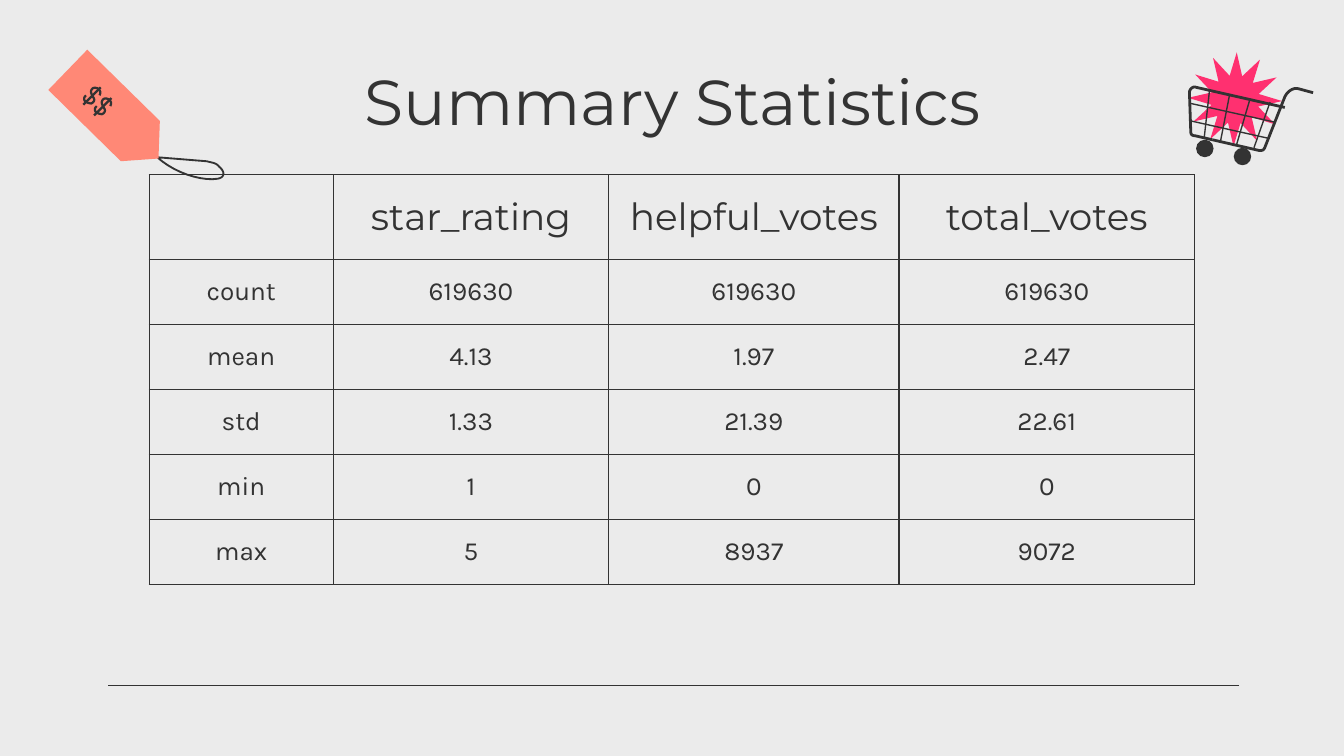
from math import cos, radians, sin

from lxml.etree import SubElement
from pptx import Presentation
from pptx.dml.color import RGBColor
from pptx.enum.shapes import MSO_CONNECTOR, MSO_SHAPE
from pptx.enum.text import MSO_ANCHOR as Anchor, MSO_AUTO_SIZE as AutoSize, PP_ALIGN as Align
from pptx.oxml import parse_xml
from pptx.oxml.ns import nsdecls, qn
from pptx.util import Inches, Pt

COLORS = {"background": "EBEBEB", "ink": "333333", "tag": "FF8876", "burst": "FF3070"}
TITLE_FORMAT = {"name": "Montserrat", "size": Pt(34), "bold": False}
HEADER_FORMAT = {"name": "Montserrat", "size": Pt(20), "bold": False}
BODY_FORMAT = {"name": "Karla", "size": Pt(14), "bold": False}

STATISTICS = [
    ["", "star_rating", "helpful_votes", "total_votes"],
    ["count", "619630", "619630", "619630"],
    ["mean", "4.13", "1.97", "2.47"],
    ["std", "1.33", "21.39", "22.61"],
    ["min", "1", "0", "0"],
    ["max", "5", "8937", "9072"],
]
COLUMN_WIDTHS = [1.37, 2.05, 2.16, 2.2]
TABLE_HEIGHT, HEADER_HEIGHT = 3.05, 0.63
ROW_HEIGHT = (TABLE_HEIGHT - HEADER_HEIGHT) / (len(STATISTICS) - 1)

# Outlines in inches: a pair is a straight step, six numbers are a Bezier curve
TAG = [(0.65, 0.37), (0.36, 0.67), (0.9, 1.2), (1.18, 1.18), (1.19, 0.9)]
STRING = [(1.17, 1.17), (1.54, 1.2), (1.57, 1.21, 1.61, 1.21, 1.63, 1.24),
          (1.67, 1.27, 1.68, 1.32, 1.62, 1.33), (1.49, 1.35, 1.29, 1.28, 1.17, 1.17)]
DOLLAR_CURVE = [(0.74, 0.71), (0.75, 0.69, 0.75, 0.68, 0.73, 0.66),
                (0.71, 0.65, 0.69, 0.65, 0.68, 0.67), (0.67, 0.69, 0.69, 0.71, 0.69, 0.72),
                (0.71, 0.74, 0.7, 0.76, 0.68, 0.77), (0.66, 0.77, 0.64, 0.76, 0.63, 0.75),
                (0.62, 0.73, 0.63, 0.72, 0.64, 0.71)]
DOLLAR_BAR = [(0.75, 0.65), (0.62, 0.78)]
HANDLE = [(9.77, 0.69), (9.66, 0.66), (9.62, 0.65, 9.58, 0.68, 9.56, 0.72),
          (9.41, 1.1), (9.4, 1.12, 9.39, 1.12, 9.37, 1.12), (9.02, 1.04)]
BASKET = [(9.56, 0.8), (8.9, 0.65), (8.88, 0.64, 8.85, 0.66, 8.85, 0.69),
          (8.86, 0.98), (8.86, 1, 8.87, 1.01, 8.89, 1.01), (9.02, 1.04)]
WIRES = [[(9, 0.67), (8.96, 1.03)], [(9.15, 0.7), (9.08, 1.06)],
         [(9.3, 0.74), (9.2, 1.08)], [(9.45, 0.76), (9.33, 1.1)],
         [(8.86, 0.9), (9.44, 1.03)], [(8.86, 0.77), (9.49, 0.91)]]
WHEELS = [(8.96, 1.1), (9.24, 1.16)]


def color(name):
    return RGBColor.from_string(COLORS[name])


def set_text(text_frame, text, text_format):
    paragraph = text_frame.paragraphs[0]
    paragraph.text = text
    paragraph.alignment = Align.CENTER
    for attribute, value in text_format.items():
        setattr(paragraph.font, attribute, value)
    paragraph.font.color.rgb = color("ink")


def flatten(outline, steps=10):
    """Turn straight and curved steps into plain points."""
    points = [outline[0]]
    for step in outline[1:]:
        if len(step) == 2:
            points.append(step)
            continue
        start, bends = points[-1], (step[:2], step[2:4], step[4:])
        for index in range(1, steps + 1):
            t = index / steps
            weights = ((1 - t) ** 3, 3 * t * (1 - t) ** 2, 3 * t * t * (1 - t), t ** 3)
            points.append(tuple(
                sum(weight * point[axis] for weight, point in zip(weights, (start, *bends)))
                for axis in (0, 1)))
    return points


def add_outline(slide, outline, fill=None, width=None, closed=False, offset=0):
    points = [(Inches(x + offset), Inches(y + offset)) for x, y in flatten(outline)]
    builder = slide.shapes.build_freeform(*points[0], scale=1.0)
    builder.add_line_segments(points[1:], close=closed)
    paint(builder.convert_to_shape(), fill, width)


def paint(shape, fill=None, width=None):
    shape.shadow.inherit = False
    if fill:
        shape.fill.solid()
        shape.fill.fore_color.rgb = color(fill)
    else:
        shape.fill.background()
    if width:
        shape.line.color.rgb = color("ink")
        shape.line.width = Pt(width)
    else:
        shape.line.fill.background()


def add_rule(slide):
    rule = slide.shapes.add_connector(
        MSO_CONNECTOR.STRAIGHT, Inches(9.22), Inches(5.1), Inches(0.8), Inches(5.1))
    rule.line.color.rgb = color("ink")
    rule.line.width = Pt(0.75)
    SubElement(rule.element.spPr, qn("a:effectLst"))


def add_title(slide):
    title = slide.shapes.title
    title.left, title.top = Inches(0.79), Inches(0.36)
    title.width, title.height = Inches(8.43), Inches(0.63)
    text_frame = title.text_frame
    frame_format = {"auto_size": AutoSize.NONE, "vertical_anchor": Anchor.TOP, "word_wrap": True}
    for side in ("left", "top", "right", "bottom"):
        frame_format[f"margin_{side}"] = Inches(0.1)
    for attribute, value in frame_format.items():
        setattr(text_frame, attribute, value)
    set_text(text_frame, "Summary Statistics", TITLE_FORMAT)


def set_borders(cell):
    properties = cell._tc.get_or_add_tcPr()
    for index, side in enumerate(("lnL", "lnR", "lnT", "lnB")):
        properties.insert(index, parse_xml(
            f'<a:{side} {nsdecls("a")} w="{Pt(0.75)}"><a:solidFill>'
            f'<a:srgbClr val="{COLORS["ink"]}"/></a:solidFill></a:{side}>'))


def add_statistics(slide):
    heights = [HEADER_HEIGHT] + [ROW_HEIGHT] * (len(STATISTICS) - 1)
    table = slide.shapes.add_table(
        len(STATISTICS), len(COLUMN_WIDTHS), Inches(1.11), Inches(1.3),
        Inches(sum(COLUMN_WIDTHS)), Inches(TABLE_HEIGHT)).table
    table.first_row = table.horz_banding = False
    for column, width in zip(table.columns, COLUMN_WIDTHS):
        column.width = Inches(width)
    for row, height, values in zip(table.rows, heights, STATISTICS):
        row.height = Inches(height)
        text_format = HEADER_FORMAT if values is STATISTICS[0] else BODY_FORMAT
        for cell, value in zip(row.cells, values):
            cell.fill.background()
            cell.vertical_anchor = Anchor.MIDDLE
            for side in ("left", "top", "right", "bottom"):
                setattr(cell, f"margin_{side}", Inches(0.1))
            set_text(cell.text_frame, value, text_format)
            set_borders(cell)


def add_price_tag(slide):
    add_outline(slide, STRING, width=1, closed=True)
    add_outline(slide, TAG, fill="tag", closed=True)
    for offset in (0, 0.08):
        add_outline(slide, DOLLAR_CURVE, width=1.2, offset=offset)
        add_outline(slide, DOLLAR_BAR, width=1.2, offset=offset)


def add_cart(slide):
    # Twelve-pointed burst, alternating outer and inner corners
    corners = []
    for index in range(24):
        angle, radius = radians(15 * index - 88), 0.18 if index % 2 else 0.35
        corners.append((9.19 + radius * cos(angle), 0.74 + radius * sin(angle)))
    add_outline(slide, corners, fill="burst", closed=True)

    # Frame, wires and wheels
    for frame in (HANDLE, BASKET):
        add_outline(slide, frame, width=1.5)
    for wire in WIRES:
        add_outline(slide, wire, width=0.75)
    for x, y in WHEELS:
        wheel = slide.shapes.add_shape(
            MSO_SHAPE.OVAL, Inches(x - 0.06), Inches(y - 0.06), Inches(0.13), Inches(0.13))
        paint(wheel, fill="ink")


def main():
    # Widescreen slide, 16 by 9
    presentation = Presentation()
    presentation.slide_width = Inches(10)
    presentation.slide_height = Inches(10) * 9 // 16
    slide = presentation.slides.add_slide(presentation.slide_layouts[5])
    slide.background.fill.solid()
    slide.background.fill.fore_color.rgb = color("background")

    add_rule(slide)
    add_title(slide)
    add_statistics(slide)
    add_price_tag(slide)
    add_cart(slide)
    presentation.save("out.pptx")


if __name__ == "__main__":
    main()
